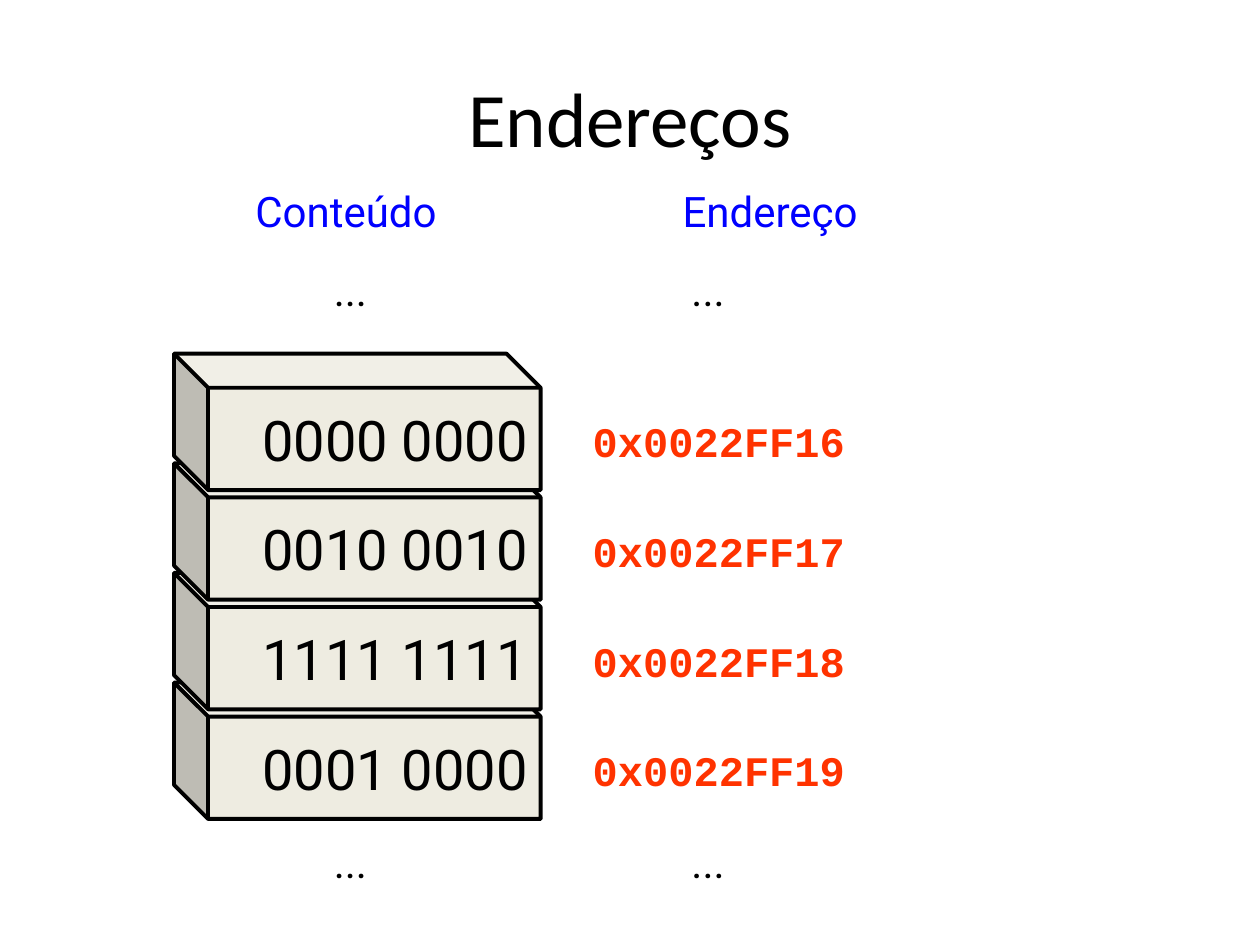
from pptx import Presentation
from pptx import util as u
from pptx.dml.color import RGBColor
from pptx.enum import shapes, text
from pptx.oxml.ns import qn

COLORS = {"ink": "000000", "heading": "0000FF", "address": "FF3300", "cell": "EEECE1"}
CELLS = [
    ("0000 0000", "0x0022FF16"),
    ("0010 0010", "0x0022FF17"),
    ("1111 1111", "0x0022FF18"),
    ("0001 0000", "0x0022FF19"),
]
PITCH = 2.21  # distance between neighbouring memory cells, in cm


def color(name):
    return RGBColor.from_string(COLORS[name])


def write(box, words, size, font="Roboto", ink="ink", bold=False,
          align=text.PP_ALIGN.LEFT, spacing=None, wrap=False):
    frame = box.text_frame
    frame.word_wrap = wrap
    para = frame.paragraphs[0]
    para.alignment = align
    if spacing:
        para.line_spacing = spacing
    span = para.add_run()
    span.text = words
    span.font.name = font
    span.font.size = u.Pt(size)
    span.font.bold = bold
    span.font.color.rgb = color(ink)


def add_label(page, left, top, width, words, **style):
    box = page.shapes.add_textbox(u.Cm(left), u.Cm(top), u.Cm(width), u.Cm(1.27))
    write(box, words, 24, spacing=1.08, **style)


def add_title(page, left, top, width, height):
    box = page.shapes.add_textbox(u.Cm(left), u.Cm(top), u.Cm(width), u.Cm(height))
    box.text_frame.vertical_anchor = text.MSO_ANCHOR.MIDDLE
    write(box, "Endereços", 44, "Calibri", align=text.PP_ALIGN.CENTER, wrap=True)


def add_cell(page, left, top, width, height, bits):
    cube = page.shapes.add_shape(shapes.MSO_SHAPE.CUBE, u.Cm(left), u.Cm(top),
                                 u.Cm(width), u.Cm(height))
    cube.shadow.inherit = False
    cube.adjustments[0] = 0.25
    cube._element.spPr.find(qn("a:xfrm")).set("flipH", "1")
    cube.fill.solid()
    cube.fill.fore_color.rgb = color("cell")
    cube.line.color.rgb = color("ink")
    cube.line.width = u.Pt(2.25)
    cube.text_frame.vertical_anchor = text.MSO_ANCHOR.MIDDLE
    write(cube, bits, 32, align=text.PP_ALIGN.RIGHT)


def add_headings(page, left, top):
    for offset, words in ((0, "Conteúdo"), (8.61, "Endereço")):
        add_label(page, left + offset, top, 5.59, words, ink="heading", wrap=True)


def add_memory(page, left, top, width):
    # Addresses beside the cells
    for row, (_, address) in enumerate(CELLS):
        add_label(page, left + width + 0.8, top + 1.05 + row * PITCH, 5.59, address,
                  font="Courier New", ink="address", bold=True)
    # Cells, stacked from the bottom up so that upper ones overlap
    for row, (bits, _) in reversed(list(enumerate(CELLS))):
        add_cell(page, left, top + row * PITCH, width, 2.75, bits)
    # Continuation dots above and below both columns
    for column in (2.97, 10.18):
        for offset in (-2, 9.53):
            add_label(page, left + column, top + offset, 1.32, "...")


def main():
    deck = Presentation()
    deck.slide_width, deck.slide_height = u.Cm(25.4), u.Cm(19.05)
    page = deck.slides.add_slide(deck.slide_layouts[6])
    add_headings(page, 4.9, 3.53)
    add_title(page, 1.27, 0.76, 22.86, 3.18)
    add_memory(page, 3.51, 7.13, 7.39)
    deck.save("out.pptx")


if __name__ == "__main__":
    main()
